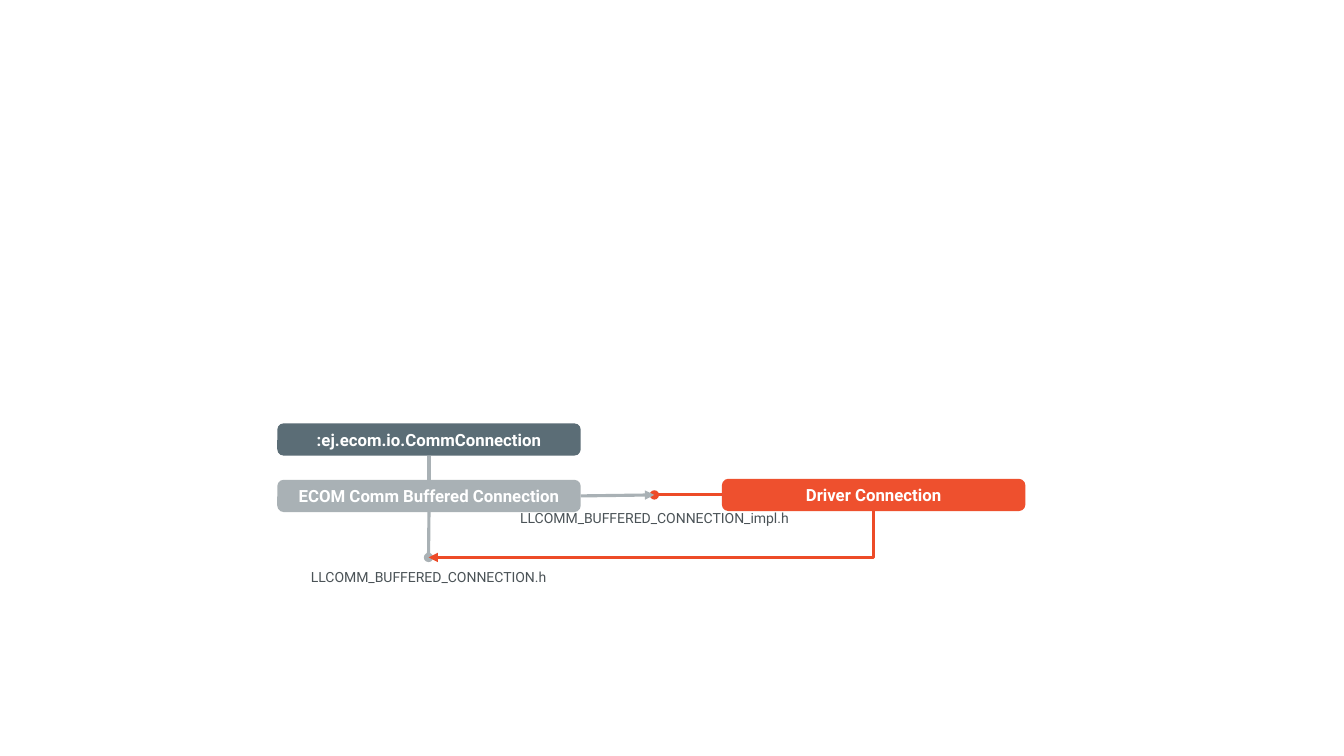
from lxml.etree import SubElement
from pptx import Presentation
from pptx.dml.color import RGBColor
from pptx.enum.shapes import MSO_CONNECTOR, MSO_SHAPE
from pptx.enum.text import MSO_ANCHOR, PP_ALIGN
from pptx.oxml.ns import qn
from pptx.util import Inches, Pt

SLATE, GRAY, ORANGE, RED = "5B6D76", "A9B1B5", "EE502E", "ED4B28"
TOP, LEFT, BOTTOM, RIGHT = range(4)
BLOCK_WIDTH, BLOCK_HEIGHT = 3.01, 0.32
LABEL_WIDTH, LABEL_HEIGHT = 3.59, 0.27

# name: (text, left, top, fill)
BLOCKS = {
    "java": (":ej.ecom.io.CommConnection", 2.75, 4.2, SLATE),
    "driver": ("Driver Connection", 7.16, 4.75, ORANGE),
    "buffer": ("ECOM Comm Buffered Connection", 2.75, 4.76, GRAY),
}
IMPL_POINT = (6.49, 4.91)
HEADER_POINT = (4.25, 5.53)
# (start point or block side, end block side, color, arrowhead at the start)
LINKS = [
    (IMPL_POINT, ("driver", LEFT), RED, "oval"),
    (IMPL_POINT, ("buffer", RIGHT), GRAY, "triangle"),
    (HEADER_POINT, ("buffer", BOTTOM), GRAY, "oval"),
    (("java", BOTTOM), ("buffer", TOP), GRAY, None),
]
# (text, center point, top)
LABELS = [
    ("LLCOMM_BUFFERED_CONNECTION_impl.h", IMPL_POINT, 5.01),
    ("LLCOMM_BUFFERED_CONNECTION.h", HEADER_POINT, 5.59),
]
BLOCK_FONT = {"name": "Roboto", "size": Pt(12), "bold": True}
LABEL_FONT = {"name": "Roboto", "size": Pt(10), "bold": False}


def rgb(value):
    return RGBColor.from_string(value)


def write(box, text, font, color, margins):
    frame = box.text_frame
    frame.word_wrap = True
    side, edge = map(Inches, margins)
    frame.margin_left = frame.margin_right = side
    frame.margin_top = frame.margin_bottom = edge
    para = frame.paragraphs[0]
    para.alignment = PP_ALIGN.CENTER
    span = para.add_run()
    span.text = text
    for name, value in font.items():
        setattr(span.font, name, value)
    span.font.color.rgb = rgb(color)
    return frame


def add_block(page, text, left, top, fill):
    box = page.shapes.add_shape(
        MSO_SHAPE.ROUNDED_RECTANGLE, Inches(left), Inches(top),
        Inches(BLOCK_WIDTH), Inches(BLOCK_HEIGHT))
    box.adjustments[0] = 0.2
    box.shadow.inherit = False
    box.fill.solid()
    box.fill.fore_color.rgb = rgb(fill)
    box.line.fill.background()
    frame = write(box, text, BLOCK_FONT, "FFFFFF", (0.1, 0.04))
    frame.vertical_anchor = MSO_ANCHOR.MIDDLE
    return box


def add_line(page, start, end, color, head=None, tail=None):
    line = page.shapes.add_connector(
        MSO_CONNECTOR.STRAIGHT, *map(Inches, start + end))
    line.line.color.rgb = rgb(color)
    line.line.width = Pt(2.25)
    outline = line.line._get_or_add_ln()
    for tag, kind in (("a:headEnd", head), ("a:tailEnd", tail)):
        if kind:
            SubElement(outline, qn(tag), type=kind)
    SubElement(line._element.spPr, qn("a:effectLst"))
    return line


def add_corner(page, start, end, color):
    """Draw an arrow that runs down from start, then left to end."""
    across, down = start[0] - end[0], end[1] - start[1]
    middle_x, middle_y = (start[0] + end[0]) / 2, (start[1] + end[1]) / 2
    line = add_line(page, (middle_x - down / 2, middle_y - across / 2),
                    (middle_x + down / 2, middle_y + across / 2),
                    color, tail="triangle")
    properties = line._element.spPr
    properties.find(qn("a:prstGeom")).set("prst", "bentConnector2")
    properties.find(qn("a:xfrm")).set("rot", str(90 * 60000))


def main():
    deck = Presentation()
    deck.slide_width, deck.slide_height = Inches(13.33), Inches(7.5)
    page = deck.slides.add_slide(deck.slide_layouts[6])

    boxes = {name: add_block(page, *block) for name, block in BLOCKS.items()}
    for start, (target, side), color, head in LINKS:
        joined = start[0] in boxes
        line = add_line(page, (0, 0) if joined else start, (0, 0), color, head)
        if joined:
            line.begin_connect(boxes[start[0]], start[1])
        line.end_connect(boxes[target], side)

    driver_left, driver_top = BLOCKS["driver"][1:3]
    driver_bottom = (driver_left + BLOCK_WIDTH / 2, driver_top + BLOCK_HEIGHT)
    add_corner(page, driver_bottom, HEADER_POINT, RED)

    for text, (center, _), top in LABELS:
        box = page.shapes.add_textbox(
            Inches(center - LABEL_WIDTH / 2), Inches(top),
            Inches(LABEL_WIDTH), Inches(LABEL_HEIGHT))
        write(box, text, LABEL_FONT, "4B5357", (0.12, 0.05))
    deck.save("out.pptx")


if __name__ == "__main__":
    main()
